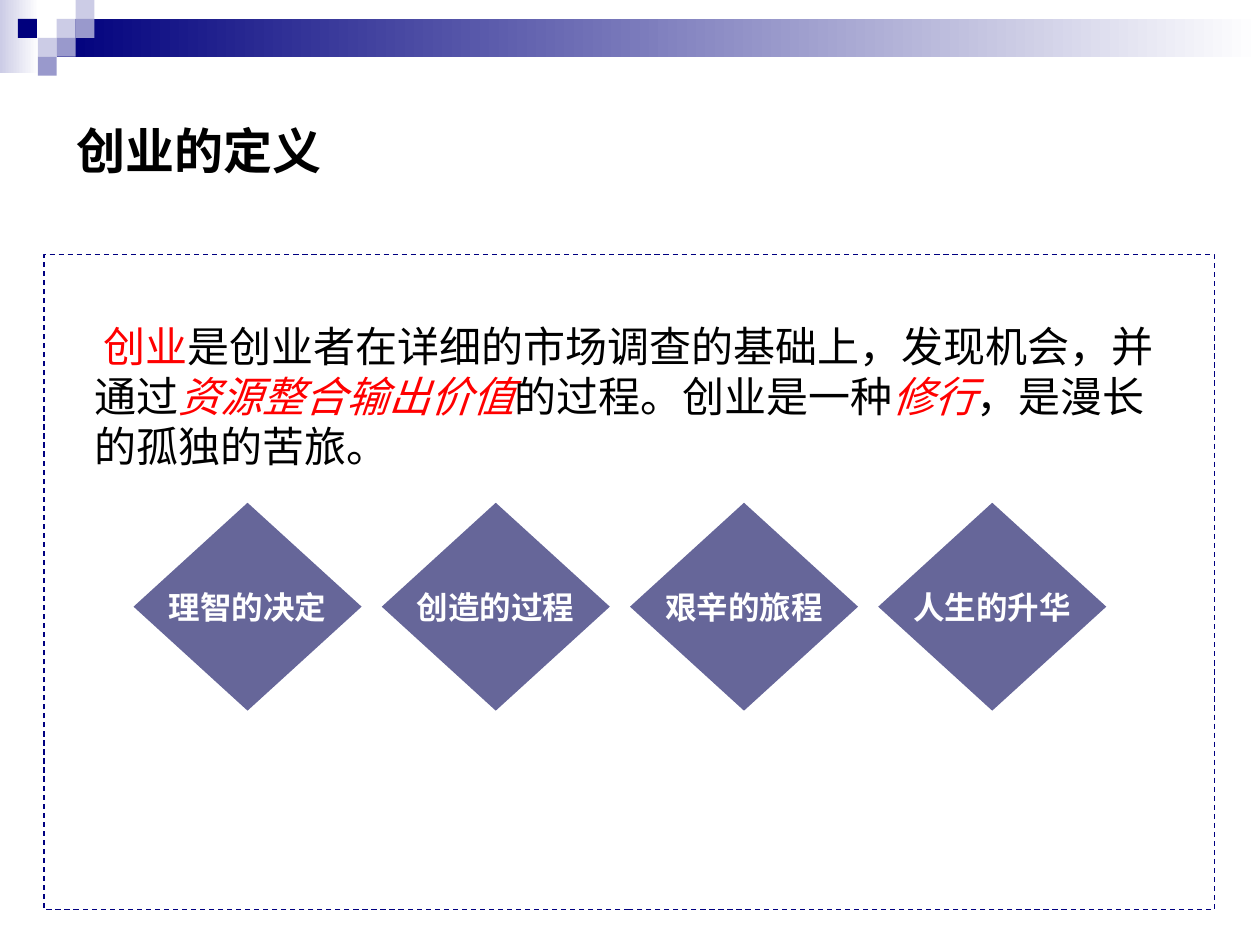
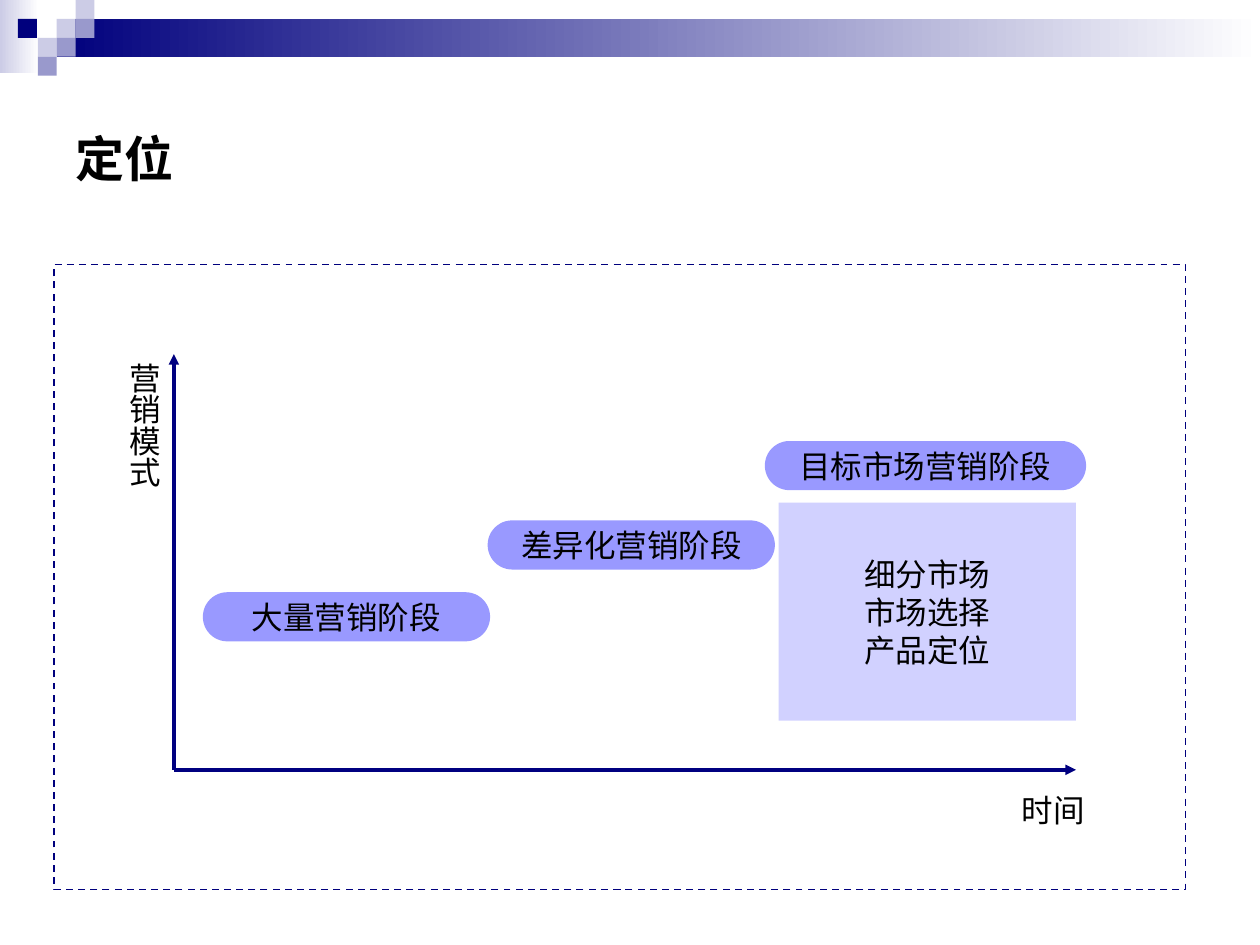
"""Build two slides on the meaning of entrepreneurship and on market positioning."""
from dataclasses import dataclass
from typing import NamedTuple

from lxml import etree
from pptx import Presentation
from pptx import util as u
from pptx.dml.color import RGBColor
from pptx.enum import dml, shapes, text
from pptx.oxml import ns

COLORS = {
    "black": "000000", "white": "FFFFFF", "red": "FF0000", "navy": "00007D",
    "axis": "000080", "mist": "CCCCE6", "lilac": "9999CC", "slate": "666699",
    "violet": "9999FF",
}
HAN_FONT = "Noto Sans CJK SC"
LATIN_FONT = "Arial"
SLIDE_WIDTH, SLIDE_HEIGHT = u.Inches(10), u.Inches(7.5)
COLUMNS, ROWS = 100, 75
MOSAIC = 1.5
SHAPE = shapes.MSO_SHAPE


class Area(NamedTuple):
    """A rectangle in grid columns and rows."""
    left: float
    top: float
    width: float
    height: float


class Tile(NamedTuple):
    """A mosaic square, placed in mosaic steps."""
    column: float
    row: float
    color: str


class Span(NamedTuple):
    """A piece of running text with its emphasis."""
    words: str
    color: str = "black"
    italic: bool = False


@dataclass
class Block:
    """A filled shape with centred lines of text."""
    area: Area
    lines: tuple
    kind: int
    fill: str
    ink: str = "black"
    bold: bool = False
    wrap: bool = True
    opacity: int = 100


TILES = (
    Tile(3, 1, "mist"), Tile(4, 0, "mist"), Tile(4, 1, "lilac"),
    Tile(2, 2, "mist"), Tile(0.95, 1, "navy"), Tile(3, 2, "lilac"),
    Tile(2, 3, "lilac"),
)
FADES = ((Area(0, 0, 3.1, 5.8), "mist"), (Area(4.5, 1.5, 95.5, 3), "navy"))

DEFINITION = (
    Span("创业", "red"),
    Span("是创业者在详细的市场调查的基础上，发现机会，并通过"),
    Span("资源整合输出价值", "red", True),
    Span("的过程。创业是一种"),
    Span("修行", "red", True),
    Span("，是漫长的孤独的苦旅。"),
)
QUALITIES = ("理智的决定", "创造的过程", "艰辛的旅程", "人生的升华")
STAGES = (
    (Area(16.1, 47, 22.8, 3.9), "大量营销阶段"),
    (Area(38.7, 41.3, 22.8, 3.9), "差异化营销阶段"),
    (Area(60.7, 35, 25.5, 3.9), "目标市场营销阶段"),
)
TARGETING = ("细分市场", "市场选择", "产品定位")
ORIGIN = (13.8, 61.1)
AXIS_ENDS = ((85.4, 61.1), (13.8, 28.1))


def col(count: float) -> int:
    """Turn grid columns into a length."""
    return round(SLIDE_WIDTH * count / COLUMNS)


def row(count: float) -> int:
    """Turn grid rows into a length."""
    return round(SLIDE_HEIGHT * count / ROWS)


def place(area: Area) -> tuple:
    """Turn an area into left, top, width and height."""
    return col(area.left), row(area.top), col(area.width), row(area.height)


def rgb(name: str) -> RGBColor:
    """Look up a colour."""
    return RGBColor.from_string(COLORS[name])


def move(holder, area: Area) -> None:
    """Move a placeholder to an area."""
    holder.left, holder.top, holder.width, holder.height = place(area)


def style(paragraph, size: float, face: str, color: str = "black", bold: bool = False) -> None:
    """Set the font of a whole paragraph."""
    font = paragraph.font
    font.size, font.name, font.bold = u.Pt(size), face, bold
    font.color.rgb = rgb(color)
    latin = paragraph._p.pPr.find(".//" + ns.qn("a:latin"))
    east = etree.Element(ns.qn("a:ea"), typeface=HAN_FONT)
    latin.addnext(east)


def add_plain(slide, kind: int, area: Area):
    """Add a shape without shadow or outline."""
    shape = slide.shapes.add_shape(kind, *place(area))
    shape.shadow.inherit = False
    shape.line.fill.background()
    return shape


def add_solid(slide, kind: int, area: Area, color: str):
    """Add a shape with one fill colour."""
    shape = add_plain(slide, kind, area)
    shape.fill.solid()
    shape.fill.fore_color.rgb = rgb(color)
    return shape


def add_fade(slide, area: Area, color: str) -> None:
    """Add a bar that fades to white from left to right."""
    fill = add_plain(slide, SHAPE.RECTANGLE, area).fill
    fill.gradient()
    fill.gradient_angle = 0
    for stop, name in zip(fill.gradient_stops, (color, "white")):
        stop.color.rgb = rgb(name)


def add_block(slide, block: Block) -> None:
    """Add a filled shape with its text."""
    shape = add_solid(slide, block.kind, block.area, block.fill)
    if block.kind == SHAPE.ROUNDED_RECTANGLE:
        shape.adjustments[0] = 0.5
    if block.opacity < 100:
        color = shape.fill._xPr.find(".//" + ns.qn("a:srgbClr"))
        etree.SubElement(color, ns.qn("a:alpha"), val=str(block.opacity * 1000))
    frame = shape.text_frame
    frame.word_wrap = block.wrap
    frame.vertical_anchor = text.MSO_ANCHOR.MIDDLE
    frame.text = "\n".join(block.lines)
    for paragraph in frame.paragraphs:
        paragraph.alignment = text.PP_ALIGN.CENTER
        style(paragraph, 18, LATIN_FONT, block.ink, block.bold)


def add_frame(slide, area: Area, color: str, weight: float) -> None:
    """Add the dashed frame around the content."""
    frame = add_plain(slide, SHAPE.RECTANGLE, area)
    frame.fill.background()
    frame.line.color.rgb = rgb(color)
    frame.line.width = u.Pt(weight)
    frame.line.dash_style = dml.MSO_LINE.DASH


def add_axis(slide, start: tuple, end: tuple) -> None:
    """Add an axis with an arrowhead at its end."""
    axis = slide.shapes.add_connector(
        shapes.MSO_CONNECTOR.STRAIGHT,
        col(start[0]), row(start[1]), col(end[0]), row(end[1]))
    axis.line.color.rgb = rgb("axis")
    axis.line.width = u.Pt(2)
    etree.SubElement(axis.line._ln, ns.qn("a:tailEnd"), type="triangle")
    etree.SubElement(axis._element.spPr, ns.qn("a:effectLst"))


def add_axis_name(slide, area: Area, words: str, vertical: bool = False) -> None:
    """Add the name of an axis."""
    frame = slide.shapes.add_textbox(*place(area)).text_frame
    frame.word_wrap = True
    if vertical:
        frame._txBody.bodyPr.set("vert", "eaVert")
    frame.text = words
    style(frame.paragraphs[0], 18, LATIN_FONT)


def start_slide(deck, layout: int, heading: str, area: Area):
    """Add a slide with the shared band and title."""
    slide = deck.slides.add_slide(deck.slide_layouts[layout])
    for fade, color in FADES:
        add_fade(slide, fade, color)
    for tile in TILES:
        spot = Area(tile.column * MOSAIC, tile.row * MOSAIC, MOSAIC, MOSAIC)
        add_solid(slide, SHAPE.RECTANGLE, spot, tile.color)
    title = slide.shapes.title
    move(title, area)
    title.text_frame.text = heading
    title.text_frame.auto_size = text.MSO_AUTO_SIZE.NONE
    title.text_frame.vertical_anchor = text.MSO_ANCHOR.MIDDLE
    paragraph = title.text_frame.paragraphs[0]
    paragraph.alignment = text.PP_ALIGN.LEFT
    style(paragraph, 28, HAN_FONT, bold=True)
    return slide


def build_definition(deck) -> None:
    """Build the slide that defines entrepreneurship."""
    slide = start_slide(deck, 1, "创业的定义", Area(5.1, 5.2, 90, 13.4))
    body = slide.placeholders[1]
    move(body, Area(2.7, 24.9, 90, 39.4))
    body.text_frame.auto_size = text.MSO_AUTO_SIZE.NONE
    paragraph = body.text_frame.paragraphs[0]
    paragraph.space_before = u.Pt(0)
    margins = paragraph._p.get_or_add_pPr()
    margins.set("marL", str(col(3.8)))
    margins.set("indent", str(col(0.7)))
    etree.SubElement(margins, ns.qn("a:buNone"))
    style(paragraph, 24, HAN_FONT)
    for span in DEFINITION:
        run = paragraph.add_run()
        run.text = span.words
        run.font.color.rgb = rgb(span.color)
        run.font.italic = span.italic
    for index, quality in enumerate(QUALITIES):
        area = Area(10.6 + 19.7 * index, 39.9, 18.1, 16.5)
        add_block(slide, Block(area, (quality,), SHAPE.DIAMOND, "slate",
                               ink="white", bold=True, wrap=False))
    add_frame(slide, Area(3.5, 20.2, 92.9, 52), "axis", 0.75)


def build_positioning(deck) -> None:
    """Build the slide that shows marketing stages over time."""
    slide = start_slide(deck, 5, "定位", Area(5, 5, 90, 15))
    for end in AXIS_ENDS:
        add_axis(slide, ORIGIN, end)
    for area, stage in STAGES:
        add_block(slide, Block(area, (stage,), SHAPE.ROUNDED_RECTANGLE, "violet"))
    add_block(slide, Block(Area(61.8, 39.9, 23.6, 17.3), TARGETING,
                           SHAPE.FLOWCHART_PROCESS, "violet", wrap=False, opacity=45))
    add_axis_name(slide, Area(80.1, 62.3, 8.5, 4), "时间")
    add_axis_name(slide, Area(8.4, 27.8, 5, 12.9), "营销模式", vertical=True)
    add_frame(slide, Area(4.3, 21, 89.8, 49.6), "navy", 1)


def main() -> None:
    """Build and save the presentation."""
    deck = Presentation()
    deck.slide_width, deck.slide_height = SLIDE_WIDTH, SLIDE_HEIGHT
    build_definition(deck)
    build_positioning(deck)
    deck.save("out.pptx")


if __name__ == "__main__":
    main()
